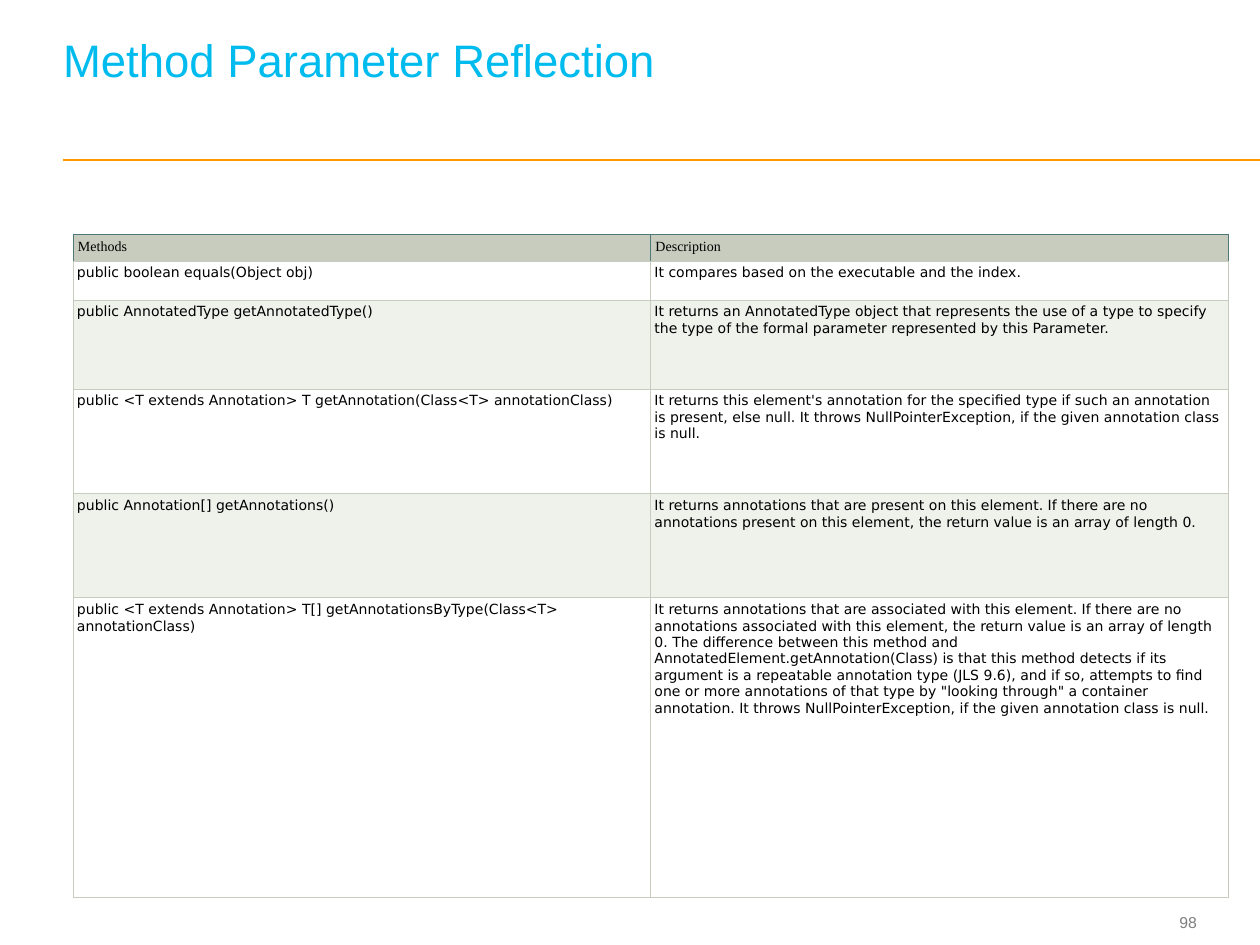
from lxml.etree import SubElement as Sub
from pptx import Presentation
from pptx.dml.color import RGBColor as Rgb
from pptx.enum.shapes import MSO_CONNECTOR as Link
from pptx.enum.text import MSO_ANCHOR as Anchor, PP_ALIGN as Align
from pptx.oxml.ns import qn
from pptx.util import Emu, Pt

SCALE = 914400 / 126
HUES = {
    "title": "00BBEE", "rule": "FF9900", "page": "7F7F7F", "text": "000000",
    "head": "C7CCBE", "edge": "507877", "odd": "FFFFFF", "even": "EFF1EB",
}
ROWS = [
    (27, "Methods", "Description"),
    (39, "public boolean equals(Object obj)",
     "It compares based on the executable and the index."),
    (89, "public AnnotatedType getAnnotatedType()",
     "It returns an AnnotatedType object that represents the use of a type to "
     "specify the type of the formal parameter represented by this Parameter."),
    (105, "public <T extends Annotation> T getAnnotation(Class<T> annotationClass)",
     "It returns this element's annotation for the specified type if such an "
     "annotation is present, else null. It throws NullPointerException, if the "
     "given annotation class is null."),
    (104, "public Annotation[] getAnnotations()",
     "It returns annotations that are present on this element. If there are no "
     "annotations present on this element, the return value is an array of "
     "length 0."),
    (300, "public <T extends Annotation> T[] getAnnotationsByType(Class<T> "
     "annotationClass)",
     "It returns annotations that are associated with this element. If there "
     "are no annotations associated with this element, the return value is an "
     "array of length 0. The difference between this method and "
     "AnnotatedElement.getAnnotation(Class) is that this method detects if its "
     "argument is a repeatable annotation type (JLS 9.6), and if so, attempts "
     "to find one or more annotations of that type by \"looking through\" a "
     "container annotation. It throws NullPointerException, if the given "
     "annotation class is null."),
]


def px(n):
    """Turn px into EMU."""
    return Emu(round(n * SCALE))


def hue(key):
    """Look up a colour."""
    return Rgb.from_string(HUES[key])


def style(para, face, size, key):
    """Set the font of a paragraph."""
    font = para.font
    font.name, font.size = face, Pt(size)
    font.color.rgb = hue(key)


def inset(item, gap):
    """Give a cell or text frame equal margins."""
    item.margin_left = item.margin_right = px(gap)
    item.margin_top = item.margin_bottom = px(gap)


def place(shape, box):
    """Move a shape to a box."""
    shape.left, shape.top, shape.width, shape.height = map(px, box)


def border(cell, sides):
    """Draw the four sides of a cell."""
    props = cell._tc.get_or_add_tcPr()
    for side, key in zip("LRTB", sides):
        line = Sub(props, qn(f"a:ln{side}"), w=str(Pt(0.6)))
        Sub(Sub(line, qn("a:solidFill")), qn("a:srgbClr"), val=HUES[key])


def add_title(slide, box):
    """Place the slide title, with free room under it."""
    title = slide.shapes.title
    place(title, box)
    frame = title.text_frame
    frame.text = "Method Parameter Reflection"
    frame.word_wrap = True
    frame.vertical_anchor = Anchor.BOTTOM
    inset(frame, 0)
    frame.margin_bottom = px(45)
    para = frame.paragraphs[0]
    para.alignment = Align.LEFT
    para.line_spacing = Pt(26)
    style(para, "Arial", 26, "title")


def add_rule(slide, box):
    """Draw the line under the title."""
    left, top, width, height = box
    rule = slide.shapes.add_connector(
        Link.STRAIGHT, px(left), px(top), px(left + width), px(top + height))
    rule.line.color.rgb = hue("rule")
    rule.line.width = Pt(1)
    Sub(rule._element.spPr, qn("a:effectLst"))


def add_page(slide, box):
    """Place the page number."""
    frame = slide.shapes.add_textbox(*map(px, box)).text_frame
    frame.text = "98"
    frame.word_wrap = True
    frame.vertical_anchor = Anchor.MIDDLE
    inset(frame, 0)
    para = frame.paragraphs[0]
    para.alignment = Align.RIGHT
    style(para, "Arial", 9, "page")


def add_grid(slide, box):
    """Place the table of methods."""
    grid = slide.shapes.add_table(len(ROWS), 2, *map(px, box)).table
    for col in grid.columns:
        col.width = px(box[2] / 2)
    for i, (high, *texts) in enumerate(ROWS):
        grid.rows[i].height = px(high)
        head = i == 0
        fill = "head" if head else "odd" if i % 2 else "even"
        sides = ["edge"] * 3 + ["head"] if head else ["head"] * 4
        face = "Times New Roman" if head else "DejaVu Sans"
        for j, text in enumerate(texts):
            cell = grid.cell(i, j)
            cell.text = text
            inset(cell, 5 if head else 4)
            border(cell, sides)
            cell.fill.solid()
            cell.fill.fore_color.rgb = hue(fill)
            para = cell.text_frame.paragraphs[0]
            style(para, face, 8, "text")
            para.font.bold = False


def main():
    """Build and save the slide."""
    deck = Presentation()
    deck.slide_width, deck.slide_height = px(1260), px(945)
    slide = deck.slides.add_slide(deck.slide_layouts[5])
    add_rule(slide, (63, 160, 1197, 0))
    add_page(slide, (1123, 905, 74, 34))
    add_title(slide, (63, 24, 1130, 108))
    add_grid(slide, (73, 234, 1155, 664))
    deck.save("out.pptx")


if __name__ == "__main__":
    main()
